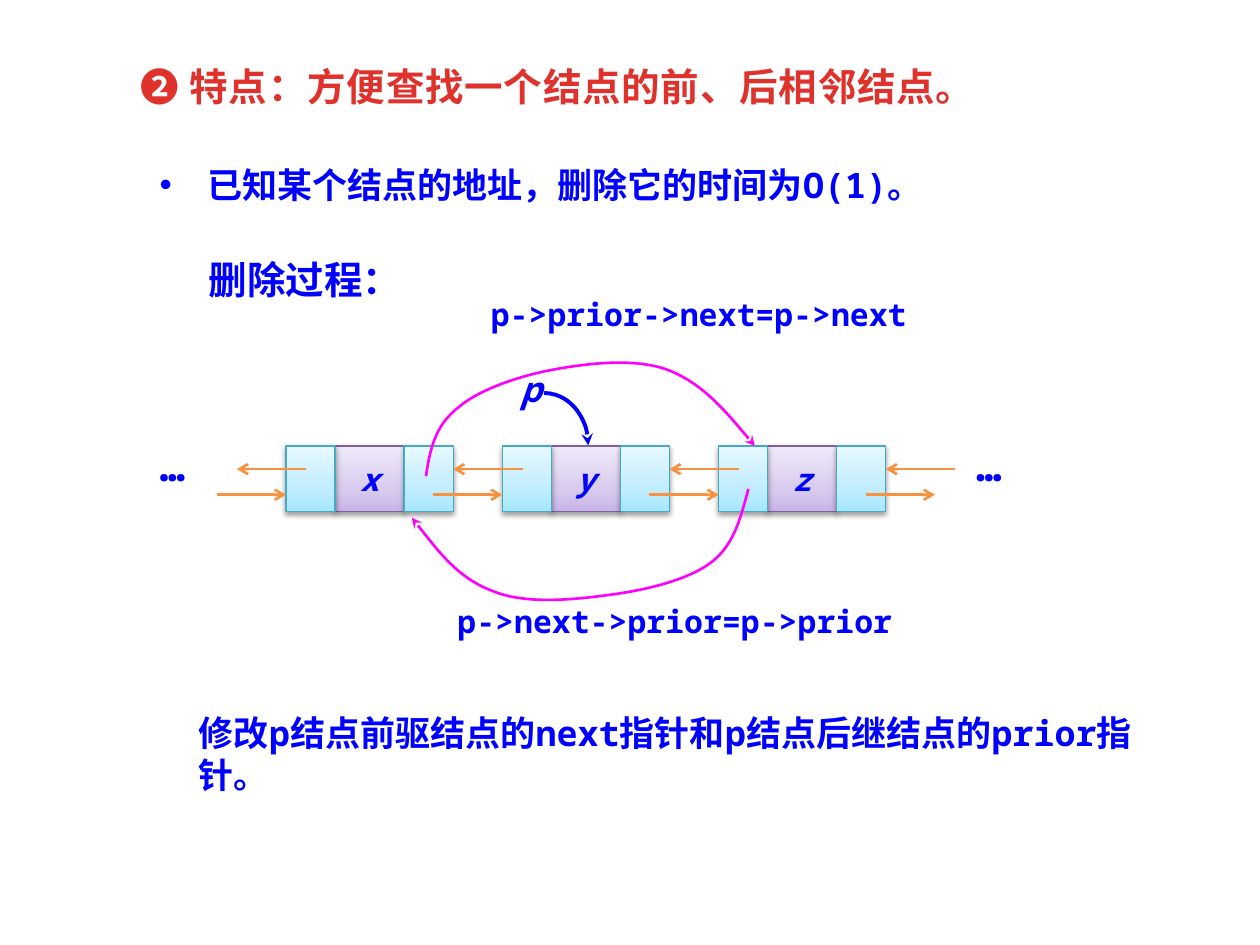
import pptx
import pptx.util
import pptx.dml.color
import pptx.enum.shapes
import pptx.enum.text
import pptx.oxml
import pptx.oxml.ns

Pt = pptx.util.Pt
SHAPES = pptx.enum.shapes.MSO_SHAPE
ALIGN = pptx.enum.text.PP_ALIGN
NS = pptx.oxml.ns.nsdecls("a")
qn = pptx.oxml.ns.qn

COLORS = {
    "text": "0000FF",
    "pointer": "F69240",
    "relink": "FF00FF",
    "data_line": "7D60A0",
    "link_line": "46AAC5",
    "shadow": "000000",
}
GRADIENTS = {
    "title": ([(25, "E0322D"), (100, "A2201C")], 90),
    "data": ([(0, "C9B5E8"), (35, "D8CBEE"), (100, "F0EAF9")], 270),
    "link": ([(0, "A7E6FF"), (35, "C1EDFF"), (100, "E7F8FF")], 270),
}


class ListSlide:
    font = "Noto Sans Mono"

    def __init__(self, prs):
        self.s = prs.slides.add_slide(prs.slide_layouts[6])

    def color(self, name):
        return pptx.dml.color.RGBColor.from_string(COLORS[name])

    def gradient(self, fill, parent, name):
        stops, angle = GRADIENTS[name]
        fill.gradient()
        gs = "".join(
            f'<a:gs pos="{pos * 1000}"><a:srgbClr val="{rgb}"/></a:gs>' for pos, rgb in stops
        )
        grad = pptx.oxml.parse_xml(
            f'<a:gradFill {NS} rotWithShape="1"><a:gsLst>{gs}</a:gsLst>'
            f'<a:lin ang="{angle * 60000}" scaled="0"/></a:gradFill>'
        )
        parent.replace(parent.find(qn("a:gradFill")), grad)

    def label(self, tf, text, size, align=None, italic=False, gradient=None, bullet=None):
        p = tf.paragraphs[0]
        p.text = text
        p.alignment = align
        if bullet:
            pPr = p._p.get_or_add_pPr()
            pPr.set("marL", str(Pt(27)))
            pPr.set("indent", str(Pt(-27)))
            pPr.append(pptx.oxml.parse_xml(f'<a:buFont {NS} typeface="Arial"/>'))
            pPr.append(pptx.oxml.parse_xml(f'<a:buChar {NS} char="{bullet}"/>'))
        r = p.runs[0]
        r.font.name = self.font
        r.font.size = Pt(size)
        r.font.bold = True
        r.font.italic = italic or None
        if gradient:
            rPr = r._r.get_or_add_rPr()
            rPr.set("spc", "50")
            self.gradient(r.font.fill, rPr, gradient)
        else:
            r.font.color.rgb = self.color("text")

    def text(self, x, y, w, h, text, size, inset=True, **style):
        sp = self.s.shapes.add_textbox(Pt(x), Pt(y), Pt(w), Pt(h))
        tf = sp.text_frame
        tf.word_wrap = True
        tf.auto_size = pptx.enum.text.MSO_AUTO_SIZE.SHAPE_TO_FIT_TEXT
        if not inset:
            tf.margin_left = tf.margin_right = tf.margin_top = tf.margin_bottom = 0
        self.label(tf, text, size, **style)

    def cell(self, x, y, w, h, kind, text=None):
        sp = self.s.shapes.add_shape(SHAPES.RECTANGLE, Pt(x), Pt(y), Pt(w), Pt(h))
        self.gradient(sp.fill, sp._element.spPr, kind)
        sp.line.color.rgb = self.color(kind + "_line")
        sp.line.width = Pt(0.75)
        sp.shadow.inherit = False
        sp._element.spPr.find(qn("a:effectLst")).append(pptx.oxml.parse_xml(
            f'<a:outerShdw {NS} blurRad="{Pt(3.1)}" dist="{Pt(1.6)}" dir="5400000" rotWithShape="0">'
            f'<a:srgbClr val="{COLORS["shadow"]}"><a:alpha val="38000"/></a:srgbClr></a:outerShdw>'
        ))
        if text:
            sp.text_frame.vertical_anchor = pptx.enum.text.MSO_ANCHOR.MIDDLE
            self.label(sp.text_frame, text, 18, align=ALIGN.CENTER, italic=True)

    def stroke(self, sp, color, width, tail):
        sp.line.color.rgb = self.color(color)
        sp.line.width = Pt(width)
        ln = sp._element.spPr.find(qn("a:ln"))
        ln.append(pptx.oxml.parse_xml(f'<a:tailEnd {NS} type="{tail}"/>'))

    def arrow(self, x1, x2, y):
        sp = self.s.shapes.add_connector(
            pptx.enum.shapes.MSO_CONNECTOR.STRAIGHT, Pt(x1), Pt(y), Pt(x2), Pt(y)
        )
        self.stroke(sp, "pointer", 1.5, "arrow")
        sp._element.spPr.append(pptx.oxml.parse_xml(f"<a:effectLst {NS}/>"))

    def arc(self, x, y, w, h):
        sp = self.s.shapes.add_shape(SHAPES.ARC, Pt(x), Pt(y), Pt(w), Pt(h))
        sp.fill.background()
        sp.shadow.inherit = False
        self.stroke(sp, "text", 2.25, "stealth")

    def curve(self, points):
        points = [(Pt(x), Pt(y)) for x, y in points]
        builder = self.s.shapes.build_freeform(*points[0])
        builder.add_line_segments(points[1:], close=False)
        sp = builder.convert_to_shape()
        sp.fill.background()
        sp.shadow.inherit = False
        self.stroke(sp, "relink", 1.5, "stealth")
        lines = list(sp._element.iter(qn("a:lnTo")))
        for i in range(0, len(lines), 3):
            bezier = pptx.oxml.parse_xml(f"<a:cubicBezTo {NS}/>")
            lines[i].addprevious(bezier)
            for line in lines[i:i + 3]:
                bezier.append(line[0])
                line.getparent().remove(line)


def main():
    prs = pptx.Presentation()
    prs.slide_width, prs.slide_height = Pt(720), Pt(540)
    s = ListSlide(prs)

    s.text(73.4, 32.4, 506.2, 36.7, "❷ 特点：方便查找一个结点的前、后相邻结点。", 22, gradient="title")
    s.text(84.2, 90, 450, 33.8, "已知某个结点的地址，删除它的时间为O(1)。", 20, bullet="•")
    s.text(112.3, 142.6, 135.4, 36.7, "删除过程：", 22)

    pitch, left, top, height = 123.6, 163.4, 254.9, 37.4
    link_w, data_w = 28.1, 39.4
    for i, name in enumerate("xyz"):
        x = left + i * pitch
        s.cell(x + link_w, top, data_w, height, "data", name)
        s.cell(x + link_w + data_w, top, link_w, height, "link")
        s.cell(x, top, link_w, height, "link")

    length = 39.6
    for i in range(4):
        x = left + i * pitch
        s.arrow(x - length, x, 282.7)
        s.arrow(x + 11.6, x + 11.6 - length, 268.1)

    for x in (540, 73.4):
        s.text(x, 247.7, 50.4, 39.6, "…", 24, align=ALIGN.CENTER)

    s.arc(285.8, 224.6, 50.4, 59.8)
    s.text(292.3, 210.2, 22.3, 26.6, "p", 20, inset=False, align=ALIGN.CENTER, italic=True)

    s.curve([
        (243.4, 272.2), (245.5, 257.8), (248.4, 243.4), (261.4, 233.3),
        (273.6, 222.5), (297.4, 214.6), (317.5, 211),
        (337.7, 207.4), (363.6, 204.5), (382.3, 211.7),
        (401.8, 219.6), (416.2, 236.9), (431.3, 254.9),
    ])
    s.curve([
        (427.7, 279.4), (423.4, 295.2), (419.8, 311), (406.8, 321.1),
        (393.8, 331.2), (370.1, 337), (349.2, 339.8),
        (328.3, 342.7), (300.2, 345.6), (281.5, 337.7),
        (262.1, 330.5), (249.1, 313.2), (235.4, 295.9),
    ])

    s.text(270, 164.9, 258.5, 31, "p->prior->next=p->next", 18, align=ALIGN.CENTER)
    s.text(247.7, 340.6, 275.8, 31, "p->next->prior=p->prior", 18, align=ALIGN.CENTER)
    s.text(106.6, 403.2, 562.3, 33.8, "修改p结点前驱结点的next指针和p结点后继结点的prior指针。", 20)

    prs.save("out.pptx")


if __name__ == "__main__":
    main()
